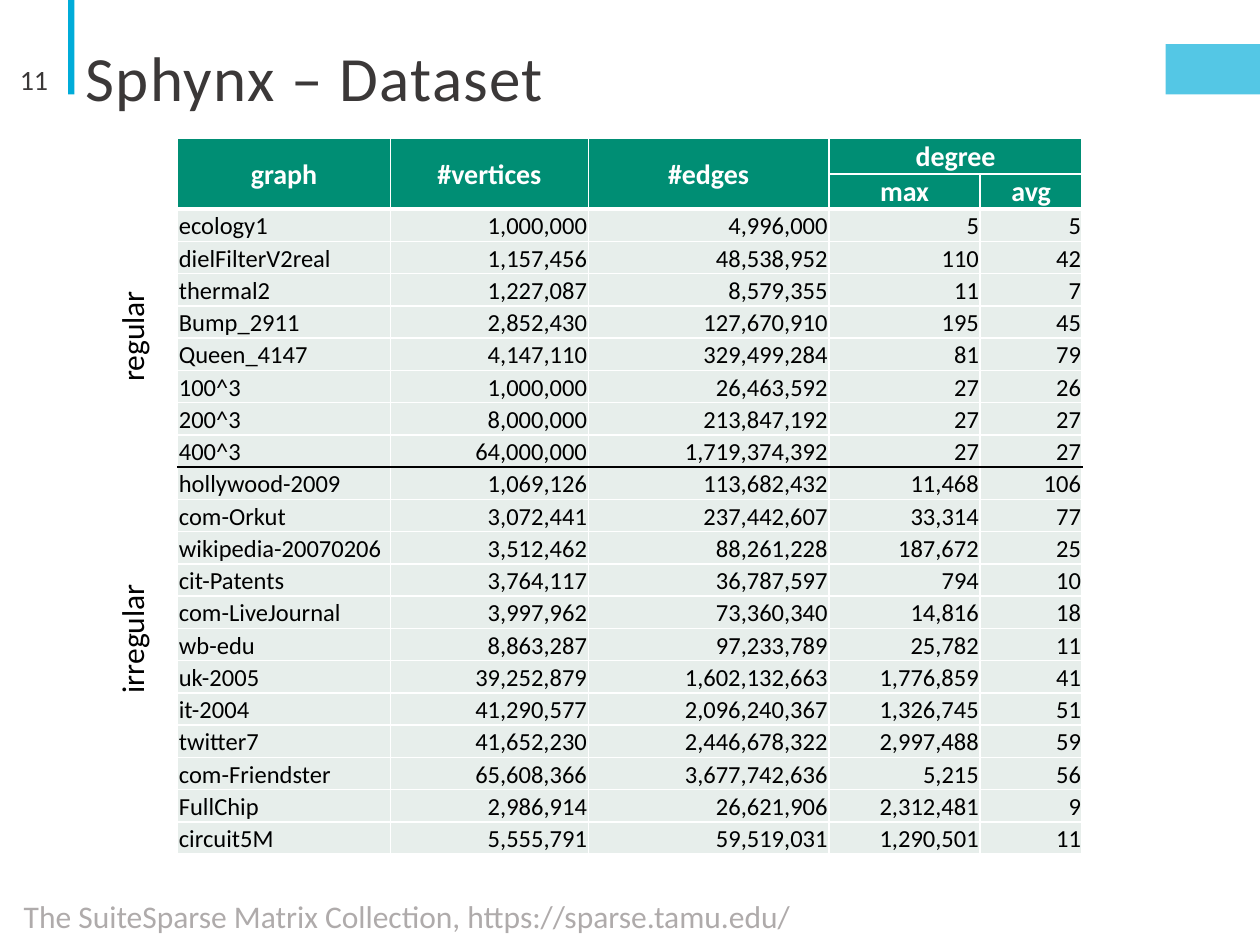
from dataclasses import dataclass

from lxml.etree import SubElement
from pptx import Presentation
from pptx.dml.color import RGBColor
from pptx.enum.shapes import MSO_SHAPE
from pptx.enum.text import MSO_ANCHOR as Anchor, PP_ALIGN as Align
from pptx.oxml.ns import qn
from pptx.util import Inches, Pt


@dataclass(frozen=True)
class Theme:
    font: str = "Calibri"
    accent: str = "00ACD9"
    dark: str = "3B3838"
    muted: str = "AFABAB"
    header: str = "008E74"
    body: str = "E7EEEB"
    white: str = "FFFFFF"
    black: str = "000000"
    title_size: int = 36
    label_size: int = 18
    header_size: int = 16
    body_size: int = 14


THEME = Theme()

REGULAR = [
    ("ecology1", "1,000,000", "4,996,000", "5", "5"),
    ("dielFilterV2real", "1,157,456", "48,538,952", "110", "42"),
    ("thermal2", "1,227,087", "8,579,355", "11", "7"),
    ("Bump_2911", "2,852,430", "127,670,910", "195", "45"),
    ("Queen_4147", "4,147,110", "329,499,284", "81", "79"),
    ("100^3", "1,000,000", "26,463,592", "27", "26"),
    ("200^3", "8,000,000", "213,847,192", "27", "27"),
    ("400^3", "64,000,000", "1,719,374,392", "27", "27"),
]
IRREGULAR = [
    ("hollywood-2009", "1,069,126", "113,682,432", "11,468", "106"),
    ("com-Orkut", "3,072,441", "237,442,607", "33,314", "77"),
    ("wikipedia-20070206", "3,512,462", "88,261,228", "187,672", "25"),
    ("cit-Patents", "3,764,117", "36,787,597", "794", "10"),
    ("com-LiveJournal", "3,997,962", "73,360,340", "14,816", "18"),
    ("wb-edu", "8,863,287", "97,233,789", "25,782", "11"),
    ("uk-2005", "39,252,879", "1,602,132,663", "1,776,859", "41"),
    ("it-2004", "41,290,577", "2,096,240,367", "1,326,745", "51"),
    ("twitter7", "41,652,230", "2,446,678,322", "2,997,488", "59"),
    ("com-Friendster", "65,608,366", "3,677,742,636", "5,215", "56"),
    ("FullChip", "2,986,914", "26,621,906", "2,312,481", "9"),
    ("circuit5M", "5,555,791", "59,519,031", "1,290,501", "11"),
]
HEADERS = [
    ("graph", "#vertices", "#edges", "degree", ""),
    ("", "", "", "max", "avg"),
]
COLUMN_WIDTHS = (1.69, 1.57, 1.91, 1.2, 0.81)
TABLE_HEIGHT = 5.68
HEADER_HEIGHT = 0.28


def style_text(frame, size, color, align, bold=False):
    paragraph = frame.paragraphs[0]
    paragraph.alignment = align
    for run in paragraph.runs:
        run.font.name = THEME.font
        run.font.size = Pt(size)
        run.font.bold = bold
        run.font.color.rgb = RGBColor.from_string(color)


def add_bar(slide, left, top, width, height, opacity=100):
    bar = slide.shapes.add_shape(MSO_SHAPE.RECTANGLE, Inches(left), Inches(top),
                                 Inches(width), Inches(height))
    bar.shadow.inherit = False
    bar.line.fill.background()
    bar.fill.solid()
    bar.fill.fore_color.rgb = RGBColor.from_string(THEME.accent)
    if opacity < 100:
        color = bar.fill._xPr.find(".//" + qn("a:srgbClr"))
        SubElement(color, qn("a:alpha"), val=str(opacity * 1000))


def add_text(slide, text, left, top, width, height, size, color,
             align=Align.LEFT, anchor=Anchor.TOP, wrap=True):
    box = slide.shapes.add_textbox(Inches(left), Inches(top),
                                   Inches(width), Inches(height))
    frame = box.text_frame
    frame.word_wrap = wrap
    frame.vertical_anchor = anchor
    frame.text = text
    style_text(frame, size, color, align)
    return box


def add_title(slide, text):
    title = add_text(slide, text, 0.58, 0.32, 7.74, 0.66, THEME.title_size,
                     THEME.dark, anchor=Anchor.MIDDLE)
    paragraph = title.text_frame.paragraphs[0]
    paragraph.line_spacing = 0.85
    paragraph.runs[0].font._element.set("spc", "80")


def add_group_label(slide, text, top):
    label = add_text(slide, text, 0.33, top, 1.43, 0.4, THEME.label_size,
                     THEME.black, Align.CENTER)
    label.rotation = 270


def set_borders(cell, **special):
    """Draw thin white borders; special maps a side (L, R, T, B) to (colour, points)."""
    properties = cell._tc.get_or_add_tcPr()
    for position, side in enumerate("LRTB"):
        color, width = special.get(side, (THEME.white, 1))
        line = properties.makeelement(qn(f"a:ln{side}"), {"w": str(Pt(width))})
        fill = SubElement(line, qn("a:solidFill"))
        SubElement(fill, qn("a:srgbClr"), val=color)
        properties.insert(position, line)


def fill_cell(cell, text, is_header, is_name):
    cell.margin_left = cell.margin_right = cell.margin_top = Inches(0.01)
    cell.margin_bottom = 0
    cell.text = text
    cell.fill.solid()
    if is_header:
        background, size, color, align = (THEME.header, THEME.header_size,
                                          THEME.white, Align.CENTER)
    else:
        background, size, color = THEME.body, THEME.body_size, THEME.black
        align = Align.LEFT if is_name else Align.RIGHT
    cell.vertical_anchor = Anchor.MIDDLE if is_header else Anchor.BOTTOM
    cell.fill.fore_color.rgb = RGBColor.from_string(background)
    style_text(cell.text_frame, size, color, align, bold=is_header)


def row_borders(row, column):
    """Thick rule below the header, black rule between the two graph groups."""
    header_count = len(HEADERS)
    first_irregular = header_count + len(REGULAR)
    header_rule, group_rule = (THEME.white, 3), (THEME.black, 1)
    if row == header_count - 1 or (row == 0 and column < 3):
        return {"B": header_rule}
    return {header_count: {"T": header_rule},
            first_irregular - 1: {"B": group_rule},
            first_irregular: {"T": group_rule}}.get(row, {})


def add_dataset_table(slide):
    rows = HEADERS + REGULAR + IRREGULAR
    header_count = len(HEADERS)
    table = slide.shapes.add_table(
        len(rows), len(COLUMN_WIDTHS), Inches(1.41), Inches(1.1),
        Inches(sum(COLUMN_WIDTHS)), Inches(TABLE_HEIGHT)).table
    table.horz_banding = False
    for column, width in zip(table.columns, COLUMN_WIDTHS):
        column.width = Inches(width)
    body_height = (TABLE_HEIGHT - header_count * HEADER_HEIGHT) / (len(rows) - header_count)
    for r, values in enumerate(rows):
        is_header = r < header_count
        table.rows[r].height = Inches(HEADER_HEIGHT if is_header else body_height)
        for c, value in enumerate(values):
            cell = table.cell(r, c)
            fill_cell(cell, value, is_header, is_name=c == 0)
            set_borders(cell, **row_borders(r, c))
    for c in range(3):
        table.cell(0, c).merge(table.cell(1, c))
    table.cell(0, 3).merge(table.cell(0, 4))


def main():
    deck = Presentation()
    deck.slide_width, deck.slide_height = Inches(10), Inches(7.5)
    slide = deck.slides.add_slide(deck.slide_layouts[6])

    add_bar(slide, 0.54, 0, 0.05, 0.75)
    add_bar(slide, 9.25, 0.35, 0.75, 0.4, opacity=67)
    add_text(slide, "11", 0, 0.43, 0.48, 0.4, THEME.header_size, THEME.dark,
             Align.RIGHT, Anchor.MIDDLE)
    add_title(slide, "Sphynx – Dataset")
    add_dataset_table(slide)
    add_group_label(slide, "regular", 2.47)
    add_group_label(slide, "irregular", 4.87)
    add_text(slide, "The SuiteSparse Matrix Collection, https://sparse.tamu.edu/",
             0.09, 7.07, 6.36, 0.4, THEME.label_size, THEME.muted, wrap=False)
    deck.save("out.pptx")


if __name__ == "__main__":
    main()
